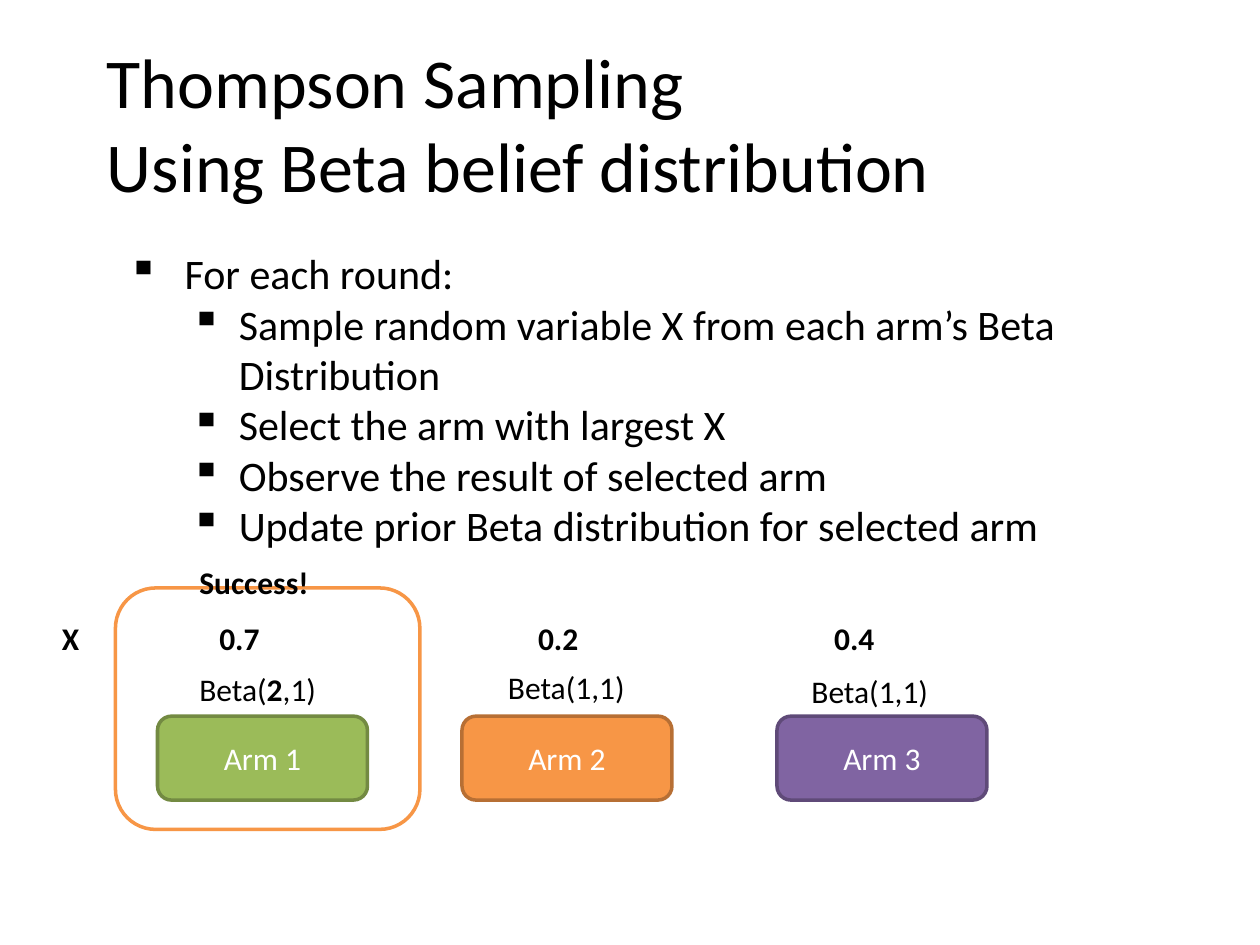
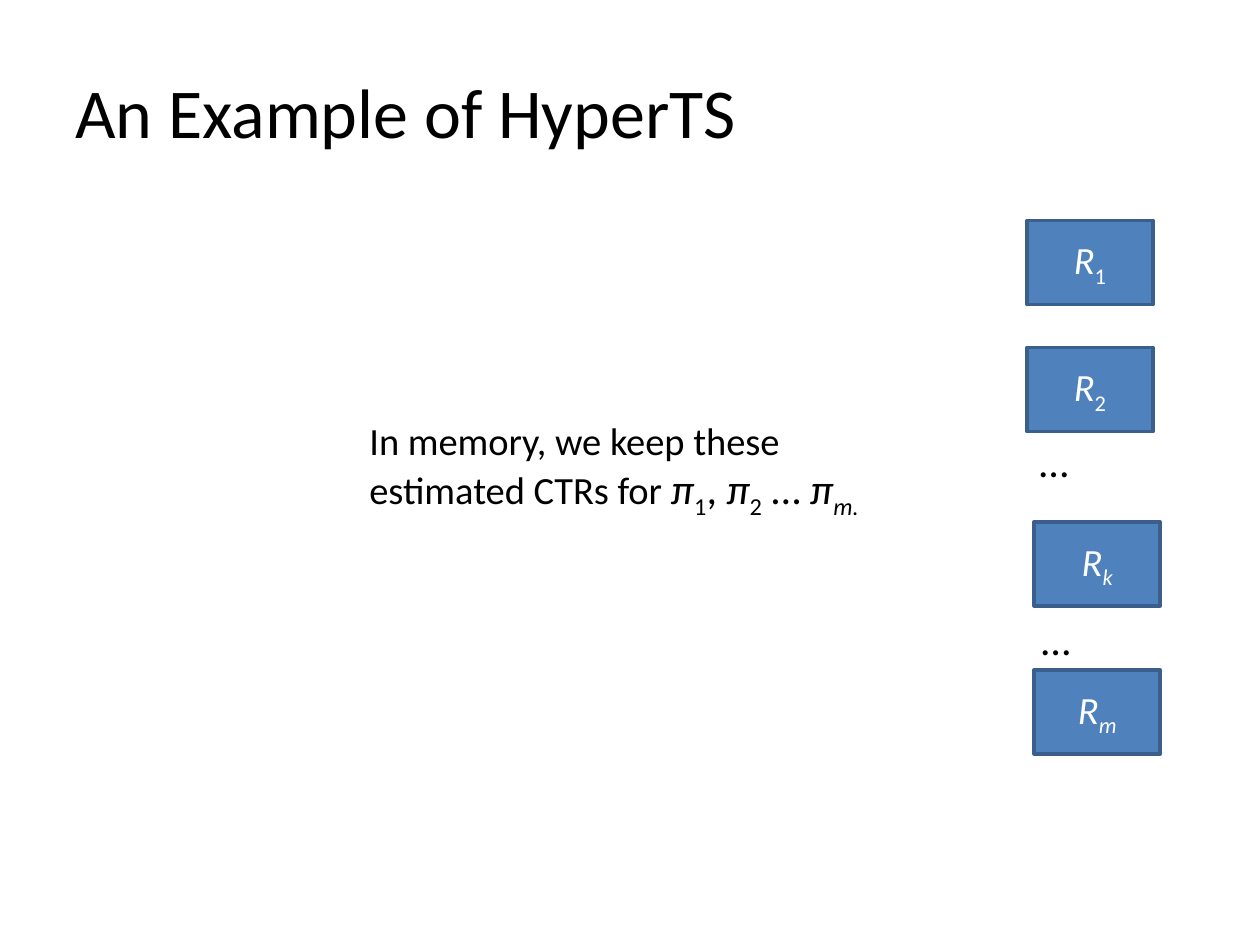
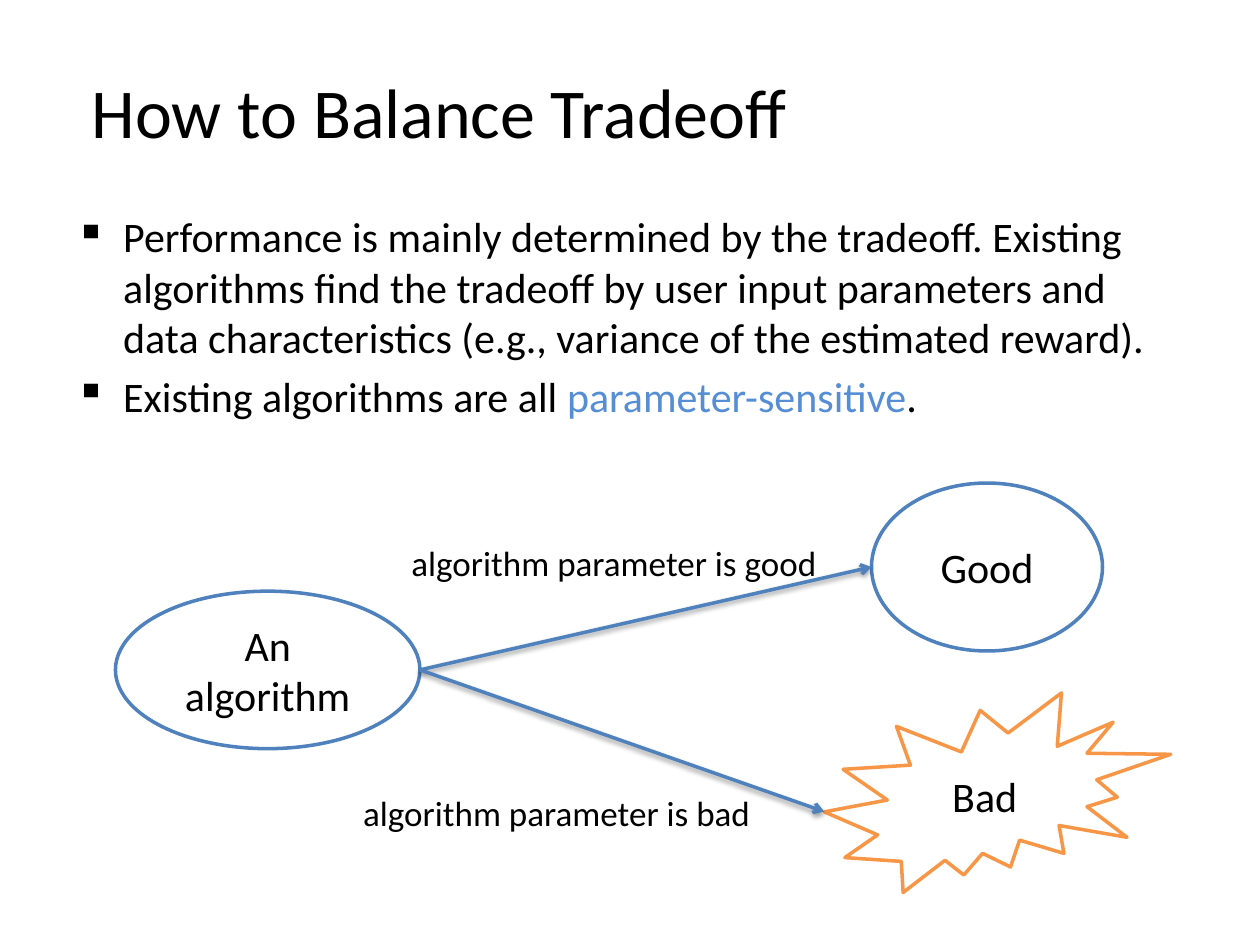
from lxml.etree import SubElement as Sub
from pptx import Presentation
from pptx.dml.color import RGBColor as Rgb
from pptx.enum.shapes import MSO_CONNECTOR as Link, MSO_SHAPE as Form
from pptx.enum.text import MSO_ANCHOR as Anchor, MSO_AUTO_SIZE as Auto, PP_ALIGN as Align
from pptx.oxml.ns import qn
from pptx.util import Inches, Pt

COLS, ROWS = 120, 90
FONT = "Calibri"
BLACK, WHITE = "000000", "FFFFFF"
BLUE, NAVY, SKY = "4F81BD", "3A5F8C", "558ED5"
GREEN, MOSS = "9BBB59", "738A42"
ORANGE, RUST = "F79646", "B76F34"
PURPLE, PLUM = "8064A2", "5F4A78"


def tint(code):
    return Rgb.from_string(code)


class Deck:
    def __init__(self):
        self.show = Presentation()
        self.show.slide_width = Inches(10)
        self.show.slide_height = Inches(7.5)
        self.slide = None

    def page(self):
        self.slide = self.show.slides.add_slide(self.show.slide_layouts[6])

    def grid(self, *cells):
        units = (self.show.slide_width / COLS, self.show.slide_height / ROWS)
        return [round(cell * units[n % 2]) for n, cell in enumerate(cells)]

    def style(self, run, size, color, bold=False, italic=False, sub=False):
        font = run.font
        font.name, font.size = FONT, Pt(size)
        font.bold, font.italic = bold, italic
        font.color.rgb = tint(color)
        if sub:
            run._r.get_or_add_rPr().set("baseline", "-25000")

    def fill(self, para, parts, size, color, **look):
        if isinstance(parts, str):
            parts = [(parts, {})]
        for text, marks in parts:
            run = para.add_run()
            run.text = text
            self.style(run, **{"size": size, "color": color, **look, **marks})

    def text(self, at, lines, size=18, wrap=True, anchor=Anchor.TOP, color=BLACK, **look):
        box = self.slide.shapes.add_textbox(*self.grid(*at))
        frame = box.text_frame
        frame.word_wrap = wrap
        frame.auto_size = Auto.NONE
        frame.vertical_anchor = anchor
        paras = [frame.paragraphs[0]] + [frame.add_paragraph() for _ in lines[1:]]
        for para, parts in zip(paras, lines):
            self.fill(para, parts, size, color, **look)
        return paras

    def title(self, at, *lines, inset=0):
        for para in self.text(at, lines, size=40, anchor=Anchor.MIDDLE):
            para._p.get_or_add_pPr().set("marL", str(Inches(inset)))

    def list(self, at, items, gap=0):
        paras = self.text(at, [parts for parts, *_ in items], size=24)
        for n, (para, (_, left, hang)) in enumerate(zip(paras, items)):
            prop = para._p.get_or_add_pPr()
            prop.set("marL", str(Inches(left)))
            prop.set("indent", str(-Inches(hang)))
            Sub(prop, qn("a:buChar"), char="▪")
            if n and gap:
                para.space_before = Pt(gap)

    def tabs(self, at, words, stops):
        para, = self.text(at, ["\t".join(words)], bold=True)
        rack = Sub(para._p.get_or_add_pPr(), qn("a:tabLst"))
        for stop in stops:
            Sub(rack, qn("a:tab"), pos=str(Inches(stop)), algn="l")

    def shape(self, form, at, line, back=WHITE, parts="", size=18, color=WHITE):
        item = self.slide.shapes.add_shape(form, *self.grid(*at))
        item.shadow.inherit = False
        item.fill.solid()
        item.fill.fore_color.rgb = tint(back)
        item.line.color.rgb = tint(line)
        item.line.width = Pt(2)
        if parts:
            frame = item.text_frame
            frame.word_wrap = True
            frame.vertical_anchor = Anchor.MIDDLE
            para = frame.paragraphs[0]
            para.alignment = Align.CENTER
            self.fill(para, parts, size, color)

    def arrow(self, start, end):
        line = self.slide.shapes.add_connector(Link.STRAIGHT, *self.grid(*start, *end))
        line.line.color.rgb = tint(BLUE)
        line.line.width = Pt(2)
        Sub(line.line._get_or_add_ln(), qn("a:tailEnd"), type="arrow")
        glow = Sub(line._element.spPr, qn("a:effectLst"))
        cast = Sub(glow, qn("a:outerShdw"), blurRad=str(Pt(3.1)), dist=str(Pt(1.6)),
                   dir="5400000", rotWithShape="0")
        ink = Sub(cast, qn("a:srgbClr"), val=BLACK)
        Sub(ink, qn("a:alpha"), val="38000")


def beta_page(deck):
    deck.page()
    deck.shape(Form.ROUNDED_RECTANGLE, (11, 56, 29, 23), ORANGE)
    deck.title((9, 3, 85, 17.4), "Thompson Sampling", "Using Beta belief distribution")
    won = [("Beta(", {}), ("2", {"bold": True}), (",1)", {})]
    arms = [
        (15, GREEN, MOSS, 17.8, 63.2, won),
        (44, ORANGE, RUST, 47.2, 63, "Beta(1,1)"),
        (74, PURPLE, PLUM, 76.1, 63.4, "Beta(1,1)"),
    ]
    for n, (left, back, edge, x, y, belief) in enumerate(arms, 1):
        deck.shape(Form.ROUNDED_RECTANGLE, (left, 68.2, 20, 8), edge, back, f"Arm {n}")
        deck.text((x, y, 13.7, 4.8), [belief], wrap=False)
    deck.tabs((4.7, 58.4, 102.4, 4.8), ["X", "0.7", "0.2", "0.4"], [1.25, 3.78, 6.13])
    steps = [
        "Sample random variable X from each arm’s Beta Distribution",
        "Select the arm with largest X",
        "Observe the result of selected arm",
        "Update prior Beta distribution for selected arm",
    ]
    deck.list((11, 23, 92.3, 30.2),
              [("For each round:", 0.45, 0.45)] + [(step, 0.88, 0.38) for step in steps])
    deck.text((17.8, 53, 15.2, 5), ["Success!"], bold=True)


def hyper_page(deck):
    deck.page()
    deck.title((6, 3, 89, 15), "An Example of HyperTS")
    big, low = {"size": 24}, {"size": 24, "sub": True}
    pi = ("π", {"size": 24, "italic": True})
    deck.text((34, 39.1, 54, 10.6), [[
        ("In memory, we keep these estimated CTRs for ", {}),
        pi, ("1", low), (", ", big), pi, ("2", low), (" … ", big),
        pi, ("m.", {**low, "italic": True}),
    ]], size=22)
    for mark, x, y in [("1", 97.8, 21), ("2", 97.8, 33.1), ("k", 98.5, 49.7), ("m", 98.5, 63.8)]:
        name = [("R", {"italic": True}), (mark, {"sub": True, "italic": mark.isalpha()})]
        deck.shape(Form.FLOWCHART_PROCESS, (x, y, 12, 8), NAVY, BLUE, name, size=22)
    for x, y in [(97.8, 40.9), (98, 57.8)]:
        deck.text((x, y, 12.8, 6), ["…"], size=24)


def trade_page(deck):
    deck.page()
    deck.title((6, 3, 89, 15), "How to Balance Tradeoff", inset=0.13)
    deck.list((6, 19.5, 108, 59.4), [
        ("Performance is mainly determined by the tradeoff. Existing algorithms find the "
         "tradeoff by user input parameters and data characteristics (e.g., variance of "
         "the estimated reward).", 0.38, 0.38),
        ([("Existing algorithms are all ", {}), ("parameter-sensitive", {"color": SKY}),
          (".", {})], 0.38, 0.38),
    ], gap=4.8)
    for form, at, edge, word in [
        (Form.OVAL, (11, 56.3, 29, 15), BLUE, "An algorithm"),
        (Form.EXPLOSION2, (78.5, 66, 33, 19), ORANGE, "Bad"),
        (Form.OVAL, (83, 46, 22, 16), BLUE, "Good"),
    ]:
        deck.shape(form, at, edge, parts=word, size=24, color=BLACK)
    for end in [(83, 54), (78.5, 77.3)]:
        deck.arrow((40, 63.8), end)
    for at, word in [((38, 51, 41.4, 5.3), "good"), ((33.4, 74.8, 39.7, 5.3), "bad")]:
        deck.text(at, [f"algorithm parameter is {word}"], size=20, wrap=False)


def main():
    deck = Deck()
    for page in (beta_page, hyper_page, trade_page):
        page(deck)
    deck.show.save("out.pptx")


if __name__ == "__main__":
    main()
